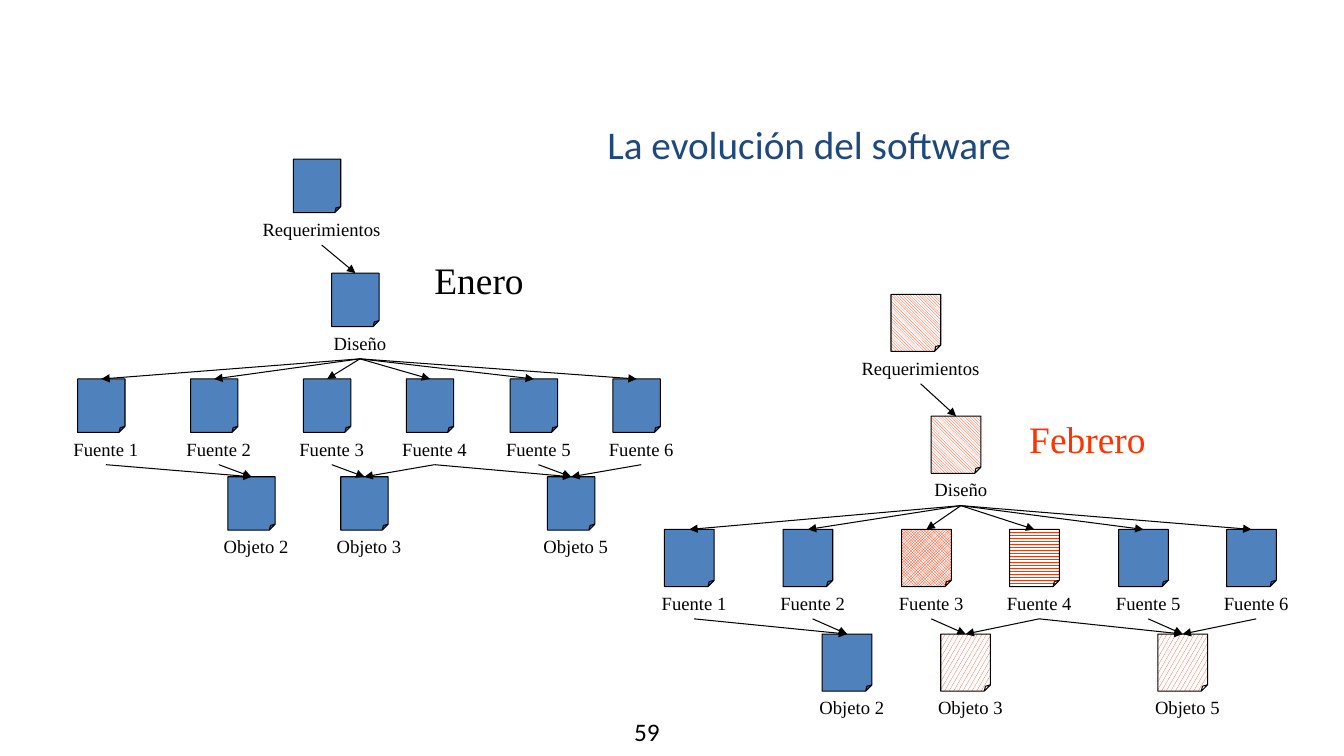
from dataclasses import dataclass, field

from lxml.etree import SubElement
from pptx import Presentation
from pptx.dml.color import RGBColor
from pptx.enum.dml import MSO_PATTERN
from pptx.enum.shapes import MSO_CONNECTOR, MSO_SHAPE
from pptx.enum.text import MSO_AUTO_SIZE, PP_ALIGN
from pptx.oxml.ns import qn
from pptx.util import Inches, Pt

COLORS = {
    "black": "000000",
    "white": "FFFFFF",
    "title": "1F497D",
    "unchanged": "4F81BD",
    "changed": "FF3300",
}
SERIF = "Times New Roman"
SANS = "Calibri"
PAGE_WIDTH, PAGE_HEIGHT = 0.47, 0.53
LABEL_WIDTH, LABEL_HEIGHT = 1.68, 0.32

# Page offsets from the left of "Fuente 1" and the top of "Requerimientos"
DOCUMENTS = {
    "Requerimientos": (2.14, 0),
    "Diseño": (2.52, 1.13),
    "Fuente 1": (0, 2.18),
    "Fuente 2": (1.12, 2.18),
    "Fuente 3": (2.24, 2.18),
    "Fuente 4": (3.26, 2.18),
    "Fuente 5": (4.29, 2.18),
    "Fuente 6": (5.31, 2.18),
    "Objeto 2": (1.49, 3.15),
    "Objeto 3": (2.61, 3.15),
    "Objeto 5": (4.66, 3.15),
}
DEPENDENCIES = [
    ("Requerimientos", "Diseño"),
    *[("Diseño", f"Fuente {number}") for number in range(1, 7)],
    ("Fuente 1", "Objeto 2"),
    ("Fuente 2", "Objeto 2"),
    ("Fuente 3", "Objeto 3"),
    ("Fuente 4", "Objeto 3"),
    ("Fuente 4", "Objeto 5"),
    ("Fuente 5", "Objeto 5"),
    ("Fuente 6", "Objeto 5"),
]


@dataclass
class TextStyle:
    size: float
    font: str = SERIF
    color: str = "black"
    centered: bool = False
    wrap: bool = False


@dataclass
class Month:
    name: str
    color: str
    name_box: tuple
    left: float
    top: float
    scale_x: float = 1
    scale_y: float = 1
    patterns: dict = field(default_factory=dict)


LABEL_STYLE = TextStyle(13.3, centered=True, wrap=True)
MONTHS = [
    Month("Enero", "black", (4.21, 2.5, 1.09, 0.55), 0.77, 1.58),
    Month(
        "Febrero", "changed", (10.11, 4.08, 1.37, 0.55), 6.59, 2.92, 1.05, 1.07,
        {
            "Requerimientos": MSO_PATTERN.DARK_DOWNWARD_DIAGONAL,
            "Diseño": MSO_PATTERN.DARK_DOWNWARD_DIAGONAL,
            "Fuente 3": MSO_PATTERN.SMALL_CHECKER_BOARD,
            "Fuente 4": MSO_PATTERN.ZIG_ZAG,
            "Objeto 3": MSO_PATTERN.LARGE_CONFETTI,
            "Objeto 5": MSO_PATTERN.LARGE_CONFETTI,
        },
    ),
]


def rgb(name: str) -> RGBColor:
    return RGBColor.from_string(COLORS[name])


def add_text(slide, text: str, box: tuple, style: TextStyle) -> None:
    shape = slide.shapes.add_textbox(*[Inches(length) for length in box])
    text_frame = shape.text_frame
    text_frame.text = text
    text_frame.word_wrap = style.wrap
    text_frame.auto_size = MSO_AUTO_SIZE.SHAPE_TO_FIT_TEXT
    paragraph = text_frame.paragraphs[0]
    paragraph.alignment = PP_ALIGN.CENTER if style.centered else PP_ALIGN.LEFT
    font = paragraph.runs[0].font
    font.name = style.font
    font.size = Pt(style.size)
    font.color.rgb = rgb(style.color)


def add_page(slide, box: tuple, pattern=None) -> None:
    shape = slide.shapes.add_shape(
        MSO_SHAPE.FOLDED_CORNER, *[Inches(length) for length in box]
    )
    # The folded corner takes an eighth of the page
    guides = shape.element.spPr.find(qn("a:prstGeom")).find(qn("a:avLst"))
    SubElement(guides, qn("a:gd"), name="adj", fmla="val 12500")
    shape.shadow.inherit = False
    if pattern is None:
        shape.fill.solid()
        shape.fill.fore_color.rgb = rgb("unchanged")
    else:
        shape.fill.patterned()
        shape.fill.pattern = pattern
        shape.fill.fore_color.rgb = rgb("changed")
        shape.fill.back_color.rgb = rgb("white")
    shape.line.color.rgb = rgb("black")
    shape.line.width = Pt(0.75)


def add_arrow(slide, start: tuple, end: tuple) -> None:
    connector = slide.shapes.add_connector(
        MSO_CONNECTOR.STRAIGHT, *[Inches(length) for length in start + end]
    )
    connector.line.color.rgb = rgb("black")
    connector.line.width = Pt(0.75)
    properties = connector.element.spPr
    SubElement(properties.find(qn("a:ln")), qn("a:tailEnd"), type="triangle")
    SubElement(properties, qn("a:effectLst"))


def add_month(slide, month: Month) -> None:
    width = PAGE_WIDTH * month.scale_x
    height = PAGE_HEIGHT * month.scale_y
    label_width = LABEL_WIDTH * month.scale_x
    entries, exits = {}, {}

    # Pages with their labels
    for name, (offset_x, offset_y) in DOCUMENTS.items():
        left = month.left + offset_x * month.scale_x
        top = month.top + offset_y * month.scale_y
        label_left = left - 0.56 * month.scale_x
        label_top = top + height
        add_page(slide, (left, top, width, height), month.patterns.get(name))
        add_text(
            slide, name, (label_left, label_top, label_width, LABEL_HEIGHT), LABEL_STYLE
        )
        entries[name] = (left + width / 2, top)
        exits[name] = (label_left + label_width / 2, label_top + LABEL_HEIGHT)

    # Arrows from each label to the page that depends on it
    for source, target in DEPENDENCIES:
        add_arrow(slide, exits[source], entries[target])

    add_text(slide, month.name, month.name_box, TextStyle(26.7, color=month.color))


def main() -> None:
    presentation = Presentation()
    presentation.slide_width = Inches(13.33)
    presentation.slide_height = Inches(7.5)
    slide = presentation.slides.add_slide(presentation.slide_layouts[6])

    # Slide number and title
    add_text(slide, "59", (6.19, 7.06, 0.64, 0.4), TextStyle(18, SANS))
    add_text(
        slide, "La evolución del software", (2.36, 1.14, 11.33, 0.58),
        TextStyle(28, SANS, "title", centered=True, wrap=True),
    )

    # One dependency diagram per month
    for month in MONTHS:
        add_month(slide, month)

    presentation.save("out.pptx")


if __name__ == "__main__":
    main()
